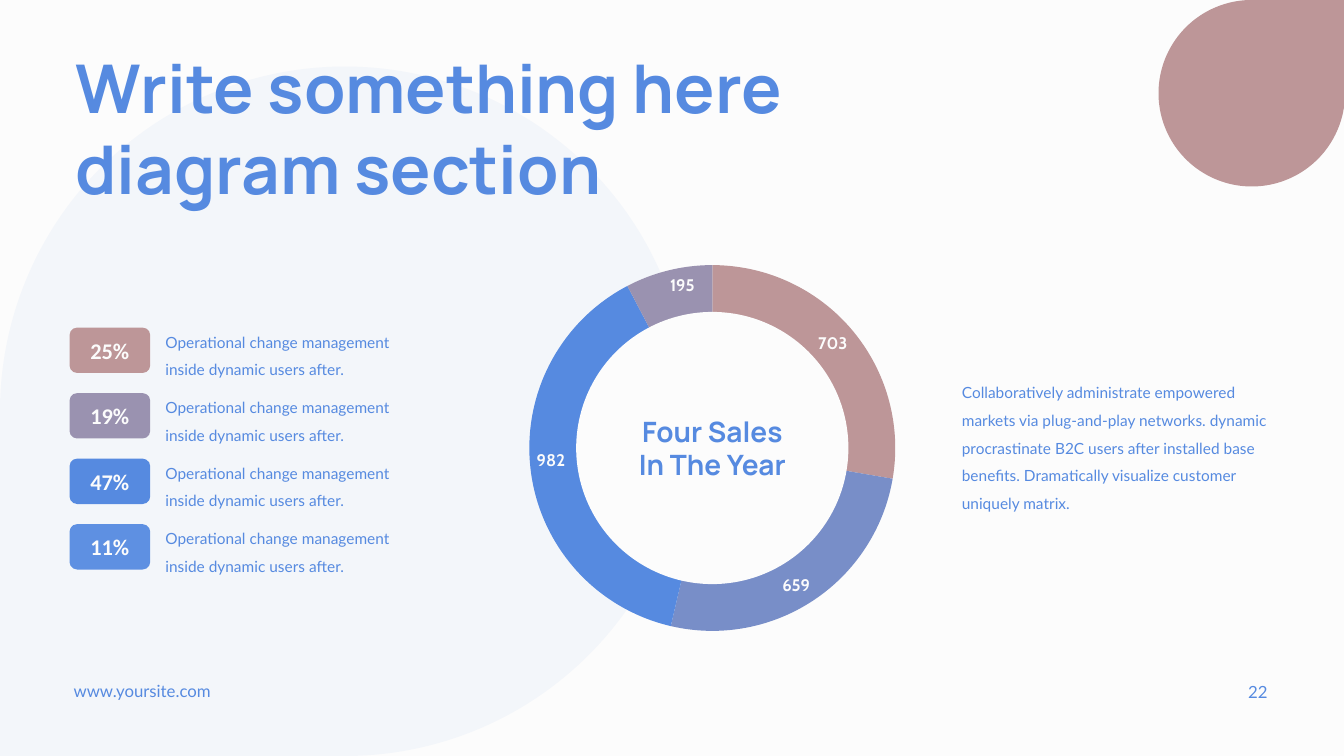
from lxml import etree
from pptx import Presentation
from pptx import util as u
from pptx.chart.data import CategoryChartData
from pptx.dml.color import RGBColor
from pptx.enum import chart as ch, shapes, text
from pptx.oxml.ns import qn

COLORS = {"paper": "FCFCFC", "blue": "568AE0", "light_blue": "5E90E2",
          "rose": "BD9698", "mauve": "9A92B0", "periwinkle": "788EC8"}
TITLE = "Write something here diagram section"
SALES = [("1", 703, "rose"), ("2", 659, "periwinkle"),
         ("3", 982, "blue"), ("4", 195, "mauve")]
SALES_CAPTION = ["Four Sales", "In The Year"]
SHARES = [("25%", "rose"), ("19%", "mauve"), ("47%", "blue"), ("11%", "light_blue")]
SHARE_NOTE = "Operational change management inside dynamic users after."
SUMMARY = ("Collaboratively administrate empowered markets via plug-and-play networks. "
           "dynamic procrastinate B2C users after installed base benefits. "
           "Dramatically visualize customer uniquely matrix.")
SITE, PAGE_NUMBER = "www.yoursite.com", "22"

FIRST_ROW, ROW_STEP = 3.21, 0.65
PIE_LEFT, PIE_TOP, PIE_SIZE, HOLE_SIZE = 5.25, 2.63, 3.63, 2.7
PLOT_LAYOUT = {"layoutTarget": "inner", "xMode": "edge", "yMode": "edge",
               "x": 0, "y": 0, "w": 1, "h": 1}


def rgb(name):
    return RGBColor.from_string(COLORS[name])


def set_font(font, name, size, color="blue", bold=False):
    font.name, font.size, font.bold = name, u.Pt(size), bold
    font.color.rgb = rgb(color)


def write(frame, lines, font, size, color="blue", bold=False,
          align=text.PP_ALIGN.LEFT, spacing=None, insets=(0, 0)):
    """Fill a text frame, one paragraph a line; insets are (side, top and bottom)."""
    frame.word_wrap = True
    frame.margin_left = frame.margin_right = u.Inches(insets[0])
    frame.margin_top = frame.margin_bottom = u.Inches(insets[1])
    for index, line in enumerate(lines):
        para = frame.add_paragraph() if index else frame.paragraphs[0]
        para.text = line
        para.alignment = align
        if spacing:
            para.line_spacing = spacing
        set_font(para.font, font, size, color, bold)


def add_text(page, at, lines, font, size, **style):
    box = page.shapes.add_textbox(*map(u.Inches, at))
    write(box.text_frame, lines, font, size, **style)
    return box


def add_shape(page, kind, at, color):
    shape = page.shapes.add_shape(kind, *map(u.Inches, at))
    shape.shadow.inherit = False
    shape.fill.solid()
    shape.fill.fore_color.rgb = rgb(color)
    shape.line.fill.background()
    return shape


def add_backdrop(page):
    page.background.fill.solid()
    page.background.fill.fore_color.rgb = rgb("paper")
    kind = shapes.MSO_SHAPE.TEAR
    add_shape(page, kind, (11.49, 0, 1.85, 1.85), "rose")
    pale_drop = add_shape(page, kind, (0, 0.66, 6.84, 6.84), "blue")
    pale_drop.rotation = 180
    tint = next(pale_drop.element.spPr.iter(qn("a:srgbClr")))
    etree.SubElement(tint, qn("a:alpha"), val="5000")


def add_sales_ring(page):
    data = CategoryChartData()
    data.categories = [name for name, _, _ in SALES]
    data.add_series("Series 1", [value for _, value, _ in SALES])
    frame = [u.Inches(n) for n in (PIE_LEFT, PIE_TOP, PIE_SIZE, PIE_SIZE)]
    chart = page.shapes.add_chart(ch.XL_CHART_TYPE.PIE, *frame, data).chart
    chart.has_title = chart.has_legend = False
    set_font(chart.font, "Lato", 10)
    plot = chart.plots[0]
    plot.vary_by_categories = True
    for index, (_, _, color) in enumerate(SALES):
        point = plot.series[0].points[index].format
        point.fill.solid()
        point.fill.fore_color.rgb = rgb(color)
        point.line.fill.background()
    plot.has_data_labels = True
    labels = plot.data_labels
    labels.show_value, labels.show_percentage = True, False
    labels.number_format, labels.number_format_is_linked = "#,##0", False
    labels.position = ch.XL_LABEL_POSITION.INSIDE_END
    set_font(labels.font, "Cabin", 12, "paper", True)

    area = next(chart.element.iter(qn("c:plotArea")))
    for old in area.findall(qn("c:layout")):
        area.remove(old)
    layout = etree.Element(qn("c:layout"))
    area.insert(0, layout)
    manual = etree.SubElement(layout, qn("c:manualLayout"))
    for tag, value in PLOT_LAYOUT.items():
        etree.SubElement(manual, qn("c:" + tag), val=str(value))

    inset = (PIE_SIZE - HOLE_SIZE) / 2
    add_shape(page, shapes.MSO_SHAPE.OVAL,
              (PIE_LEFT + inset, PIE_TOP + inset, HOLE_SIZE, HOLE_SIZE), "paper")
    add_text(page, (5.89, 4.11, 2.35, 0.67), SALES_CAPTION, "Manrope", 20,
             bold=True, align=text.PP_ALIGN.CENTER)


def add_shares(page):
    for row, (share, color) in enumerate(SHARES):
        top = FIRST_ROW + row * ROW_STEP
        add_text(page, (1.64, top, 2.24, 0.52), [SHARE_NOTE], "Lato", 11, spacing=1.5)
        badge = add_shape(page, shapes.MSO_SHAPE.ROUNDED_RECTANGLE,
                          (0.69, top + 0.04, 0.8, 0.45), color)
        write(badge.text_frame, [share], "Calibri", 16, "paper", True,
              text.PP_ALIGN.CENTER)
        badge.text_frame.vertical_anchor = text.MSO_ANCHOR.MIDDLE


def main():
    deck = Presentation()
    deck.slide_width, deck.slide_height = u.Inches(13.33), u.Inches(7.5)
    page = deck.slides.add_slide(deck.slide_layouts[6])
    add_backdrop(page)
    add_text(page, (0.73, 6.75, 2.71, 0.2), [SITE], "Lato", 12)
    number = add_text(page, (9.67, 6.66, 3, 0.4), [PAGE_NUMBER], "Lato", 12,
                      align=text.PP_ALIGN.RIGHT, insets=(0.1, 0.05))
    number.text_frame.vertical_anchor = text.MSO_ANCHOR.MIDDLE
    add_text(page, (0.65, 0.41, 9.48, 1.72), [TITLE], "Manrope", 48,
             bold=True, insets=(0.1, 0.05))
    add_sales_ring(page)
    add_shares(page)
    add_text(page, (9.54, 3.71, 3.13, 1.36), [SUMMARY], "Lato", 11, spacing=1.5)
    deck.save("out.pptx")


if __name__ == "__main__":
    main()
